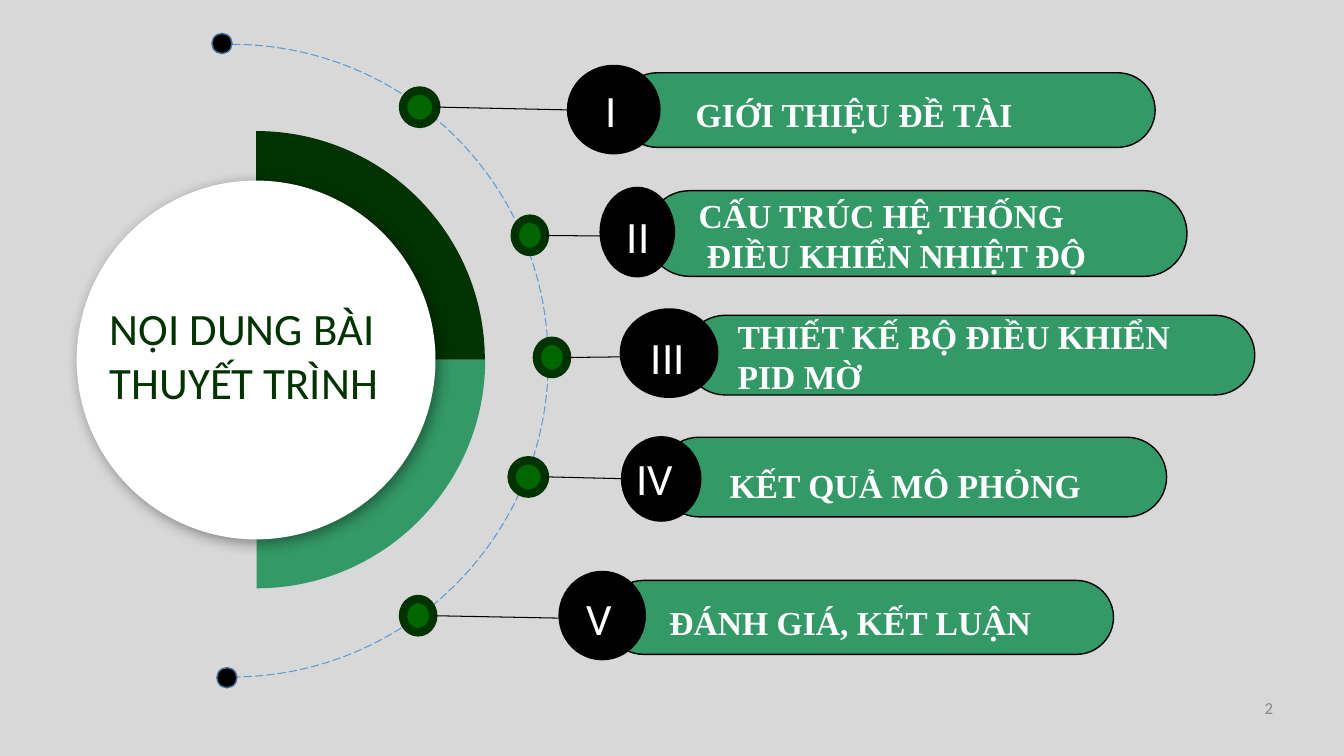
from lxml import etree
from pptx import Presentation
from pptx.dml.color import RGBColor
from pptx.enum import dml, shapes, text
from pptx.oxml.ns import qn
from pptx.util import Pt

HEX = {"back": "D8D8D8", "dark": "003300", "mid": "006600", "green": "339966",
       "blue": "5B9BD5", "rim": "42719B", "black": "000000", "white": "FFFFFF",
       "grey": "888888"}
TITLE = ["NỘI DUNG BÀI", "THUYẾT TRÌNH"]
PAGE = "2"

# Boxes are left, top, width, height; a link is x1, y1, x2, y2
ITEMS = [
    dict(num="I", lines=["GIỚI THIỆU ĐỀ TÀI"], bar=(442.8, 52, 382.3, 53.3),
         ball=(404.9, 46.3, 67, 64), tag=(405.4, 55.4, 62.6, 46.1),
         body=(489.8, 49, 482.4, 56.9), dot=(287.9, 64.7, 23.8, 23.8),
         link=(311.6, 76.5, 405.4, 78.5)),
    dict(num="II", lines=["CẤU TRÚC HỆ THỐNG", " ĐIỀU KHIỂN NHIỆT ĐỘ"],
         bar=(462, 136.2, 385.9, 61.2),
         ball=(428.2, 133.4, 54, 64.8), tag=(430.6, 145.4, 50.4, 46.8),
         body=(491.9, 135.4, 387.4, 65.5), dot=(367.7, 156.2, 21.6, 23.8),
         link=(388.8, 168.2, 430.6, 168.6)),
    dict(num="III", lines=["THIẾT KẾ BỘ ĐIỀU KHIỂN", "PID MỜ"],
         bar=(489.5, 225.2, 406.8, 56.9),
         ball=(442.6, 220.2, 70.6, 64.1), tag=(443.9, 231.7, 66.2, 46.1),
         body=(519.8, 222.2, 506.9, 65.5), dot=(383.5, 243.4, 21.6, 23.8),
         link=(404.6, 255.4, 444.2, 254.9)),
    dict(num="IV", lines=["KẾT QUẢ MÔ PHỎNG"], bar=(470.9, 312.3, 362.4, 56.9),
         ball=(443.5, 311.5, 57.6, 61.2), tag=(447.6, 318.2, 57.6, 47.5),
         body=(514.1, 313.9, 436.3, 56.9), dot=(365.5, 328.8, 23.8, 23.8),
         link=(389.3, 340.6, 447.8, 342), side="LEFT"),
    dict(num="V", lines=["ĐÁNH GIÁ, KẾT LUẬN"], bar=(433.2, 414.6, 362.2, 52.8),
         ball=(398.9, 407.7, 62.6, 64), tag=(398.7, 418.3, 59, 46.1),
         body=(471.1, 411.8, 451.4, 56.9), dot=(287.9, 427.9, 21.6, 23.8),
         link=(309.6, 439.8, 398.9, 441.5)),
]

deck = Presentation()
deck.slide_width, deck.slide_height = Pt(960), Pt(540)
page = deck.slides.add_slide(deck.slide_layouts[6])


def tint(name):
    return RGBColor.from_string(HEX[name])


def paint(shape, fill=None, line=None, wide=1):
    shape.shadow.inherit = False
    for part, name in ((shape.fill, fill), (shape.line.fill, line)):
        if name:
            part.solid()
            part.fore_color.rgb = tint(name)
        else:
            part.background()
    if line:
        shape.line.width = Pt(wide)
    return shape


def draw(kind, box, **look):
    kind = getattr(shapes.MSO_SHAPE, kind)
    return paint(page.shapes.add_shape(kind, *map(Pt, box)), **look)


def write(lines, box, size=32, font="Calibri", color="white", bold=False,
          side="LEFT", gap=None, after=None, mid=False):
    frame = page.shapes.add_textbox(*map(Pt, box)).text_frame
    frame.word_wrap = True
    if mid:
        frame.vertical_anchor = text.MSO_ANCHOR.MIDDLE
    else:
        frame.auto_size = text.MSO_AUTO_SIZE.SHAPE_TO_FIT_TEXT
    for i, words in enumerate(lines):
        para = frame.add_paragraph() if i else frame.paragraphs[0]
        para.alignment = getattr(text.PP_ALIGN, side)
        if gap:
            para.line_spacing, para.space_after = gap, Pt(after)
        run = para.add_run()
        run.text = words
        run.font.size, run.font.name, run.font.bold = Pt(size), font, bold
        run.font.color.rgb = tint(color)


def wedge(x, y, rad, way, fill):
    """Quarter disc to the right of x, below y (way 1) or above it (way -1)."""
    form = page.shapes.build_freeform(Pt(x), Pt(y))
    form.add_line_segments([(Pt(x + rad), Pt(y)), (Pt(x), Pt(y + way * rad))])
    shape = paint(form.convert_to_shape(), fill=fill)
    # The outer side becomes one curve
    side = list(shape._element.iter(qn("a:lnTo")))[1]
    side.tag = qn("a:cubicBezTo")
    bend, base = 0.5523 * rad, 0 if way > 0 else rad
    for i, (a, b) in enumerate(((rad, bend), (bend, rad))):
        side.insert(i, etree.Element(qn("a:pt"), x=str(Pt(a)),
                                     y=str(Pt(base + way * b))))


page.background.fill.solid()
page.background.fill.fore_color.rgb = tint("back")

# Dashed half ring with its two end points
for turn, top in ((0, 31.7), (90, 32.2)):
    arc = draw("ARC", (-59.8, top, 451.4, 451.4), line="blue", wide=0.75)
    arc.rotation = turn
    arc.line.dash_style = dml.MSO_LINE.LONG_DASH
for x, y in ((151.4, 23.9), (154.9, 476.9)):
    draw("OVAL", (x, y, 14.4, 14.4), fill="black", line="rim")

# Title disc on two quarter wedges
wedge(183.3, 256.9, 163.3, 1, "green")
wedge(183, 256.9, 163.3, -1, "dark")
disc = draw("OVAL", (54.8, 129, 256.3, 256.3), fill="white")
glow = etree.SubElement(disc._element.spPr.find(qn("a:effectLst")),
                        qn("a:outerShdw"), blurRad=str(Pt(10)),
                        dist=str(Pt(3)), dir="2700000", rotWithShape="0")
shade = etree.SubElement(glow, qn("a:srgbClr"), val=HEX["black"])
etree.SubElement(shade, qn("a:alpha"), val="40000")
write(TITLE, (71.3, 211.4, 219.6, 85), color="dark")

# Numbered sections
for item in ITEMS:
    draw("OVAL", item["dot"], fill="mid", line="dark", wide=6)
    link = page.shapes.add_connector(shapes.MSO_CONNECTOR.STRAIGHT,
                                     *map(Pt, item["link"]))
    link.line.color.rgb, link.line.width = tint("black"), Pt(0.75)
    etree.SubElement(link._element.spPr, qn("a:effectLst"))
    bar = draw("ROUNDED_RECTANGLE", item["bar"], fill="green", line="black")
    bar.adjustments[0] = 0.5
    draw("OVAL", item["ball"], fill="black")
    write([item["num"]], item["tag"], side=item.get("side", "CENTER"))
    gap = 1.5 if len(item["lines"]) == 1 else None
    write(item["lines"], item["body"], size=24, font="Times New Roman",
          bold=True, gap=gap, after=6)

# Page number
write([PAGE], (700.4, 491.5, 216, 28.8), size=12, color="grey",
      side="RIGHT", mid=True)

deck.save("out.pptx")
